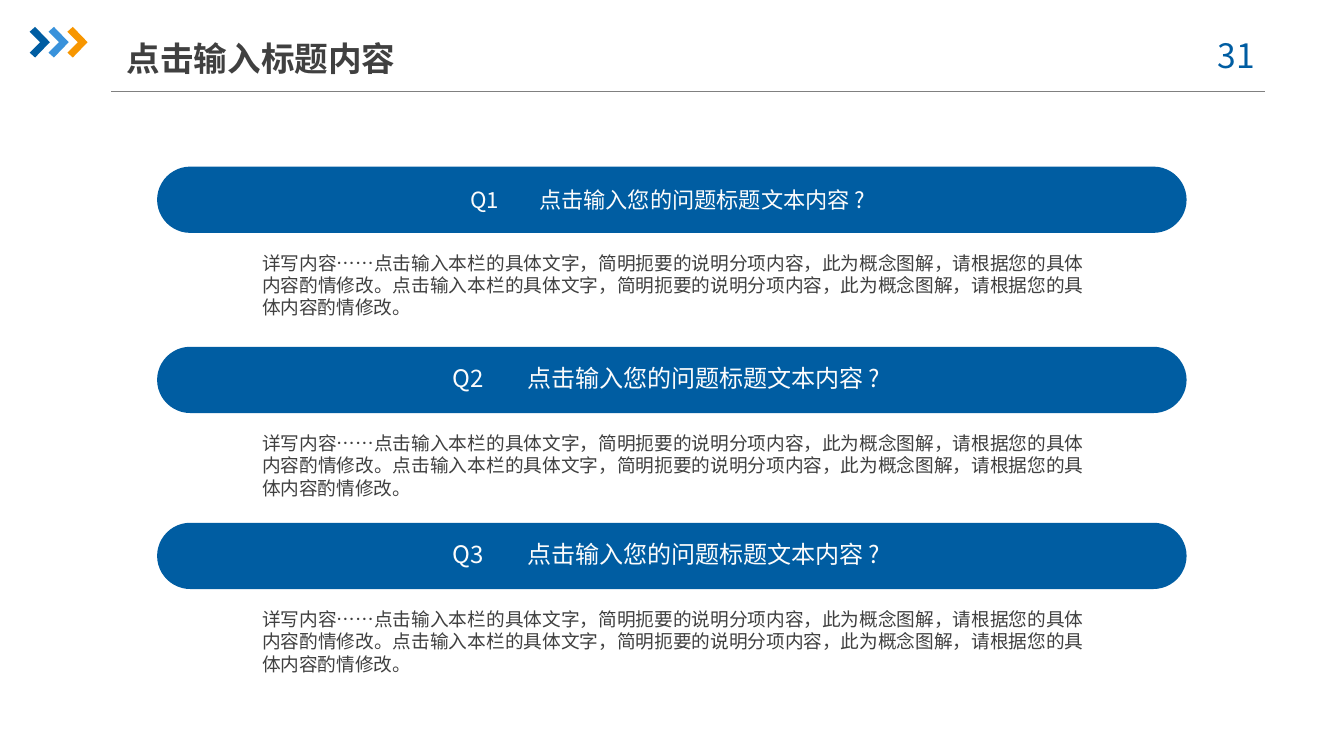
import pptx
import pptx.dml.color
import pptx.enum.shapes
import pptx.enum.text
import pptx.oxml
import pptx.oxml.ns
import pptx.util

Pt = pptx.util.Pt
ALIGN = pptx.enum.text.PP_ALIGN
ANCHOR = pptx.enum.text.MSO_ANCHOR

# Content
TITLE = "点击输入标题内容"
PAGE_NUMBER = "31 "
QUESTION = "点击输入您的问题标题文本内容 ?"
ADVICE = "点击输入本栏的具体文字，简明扼要的说明分项内容，此为概念图解，请根据您的具体内容酌情修改。"
ANSWER = "详写内容……" + ADVICE * 2
# label, bar top, heading size, heading indent, tab stop, line spacing
QUESTIONS = [
    ("Q1", 89.3, 11.9, 10.7, 37, 1.0),
    ("Q2", 185.8, 12.9, 1.3, 40.3, 0.9),
    ("Q3", 280.1, 12.9, 1.3, 40.3, 0.9),
]

THEME = {
    "font": "Noto Sans CJK SC",
    "blue": "005DA2", "sky": "3992DB", "orange": "F79600",
    "rule": "808080", "ink": "404040", "pale": "FCFCFC",
    "title": 18, "answer": 10,
}

# Layout
CHEVRON = [(0, 2.6), (2.9, 0), (10.8, 8.2), (2.9, 16.4), (0, 13.8), (5.6, 8.2)]
CHEVRON_LEFT, CHEVRON_TOP, CHEVRON_STEP = 15.9, 14.4, 10.1
BAR_LEFT, BAR_WIDTH, BAR_HEIGHT = 84.2, 551.5, 35.5
HEADING_LEFT, HEADING_WIDTH, HEADING_HEIGHT = 241.2, 238.3, 24.5
ANSWER_LEFT, ANSWER_WIDTH, ANSWER_HEIGHT, ANSWER_DROP = 140.4, 439.9, 43.9, 45.4


def color(name):
    return pptx.dml.color.RGBColor.from_string(THEME[name])


def paint(shape, name):
    shape.shadow.inherit = False
    shape.fill.solid()
    shape.fill.fore_color.rgb = color(name)
    shape.line.fill.background()


def add_text(slide, text, left, top, width, height, *, size, ink, bold=False,
             align=ALIGN.LEFT, anchor=ANCHOR.TOP, insets=(0, 0, 0, 0),
             spacing=1.0, tab=None):
    box = slide.shapes.add_textbox(Pt(left), Pt(top), Pt(width), Pt(height))
    frame = box.text_frame
    frame.word_wrap = True
    frame.vertical_anchor = anchor
    (frame.margin_left, frame.margin_top,
     frame.margin_right, frame.margin_bottom) = map(Pt, insets)
    paragraph = frame.paragraphs[0]
    paragraph.alignment = align
    paragraph.line_spacing = spacing
    if tab:
        properties = paragraph._p.get_or_add_pPr()
        stops = pptx.oxml.ns.qn("a:tabLst")
        stop_list = properties.makeelement(stops, {})
        properties.append(stop_list)
        stop_list.append(properties.makeelement(
            pptx.oxml.ns.qn("a:tab"), {"pos": str(int(Pt(tab))), "algn": "l"}))
    run = paragraph.add_run()
    run.text = text
    run.font.name = THEME["font"]
    run.font.size = Pt(size)
    run.font.bold = bold
    run.font.color.rgb = color(ink)
    run_properties = run._r.get_or_add_rPr()
    run_properties.append(run_properties.makeelement(
        pptx.oxml.ns.qn("a:ea"), {"typeface": THEME["font"]}))


def add_header(slide):
    # Rule under the title
    rule = slide.shapes.add_connector(
        pptx.enum.shapes.MSO_CONNECTOR.STRAIGHT, Pt(59.6), Pt(49.2), Pt(677.6), Pt(49.2))
    rule.line.color.rgb = color("rule")
    rule.line.width = Pt(0.75)
    rule._element.spPr.append(
        rule._element.makeelement(pptx.oxml.ns.qn("a:effectLst"), {}))

    # Three chevrons
    for index, fill in enumerate(("blue", "sky", "orange")):
        left = CHEVRON_LEFT + index * CHEVRON_STEP
        corners = [(Pt(left + x), Pt(CHEVRON_TOP + y)) for x, y in CHEVRON]
        outline = slide.shapes.build_freeform(*corners[0])
        outline.add_line_segments(corners[1:], close=True)
        paint(outline.convert_to_shape(), fill)

    # Page number and title
    add_text(slide, PAGE_NUMBER, 637.9, 18.7, 52.6, 28.8, size=THEME["title"],
             ink="blue", align=ALIGN.CENTER)
    add_text(slide, TITLE, 67.9, 15.8, 167.8, 30.2, size=THEME["title"], ink="ink",
             bold=True, anchor=ANCHOR.MIDDLE, insets=(0, 3.6, 0, 3.6))


def add_question(slide, label, top, size, indent, tab, spacing):
    bar = slide.shapes.add_shape(
        pptx.enum.shapes.MSO_SHAPE.ROUNDED_RECTANGLE,
        Pt(BAR_LEFT), Pt(top), Pt(BAR_WIDTH), Pt(BAR_HEIGHT))
    bar.adjustments[0] = 0.5
    paint(bar, "blue")
    add_text(slide, f"{label}\t{QUESTION}",
             HEADING_LEFT, top + (BAR_HEIGHT - HEADING_HEIGHT) / 2,
             HEADING_WIDTH, HEADING_HEIGHT, size=size, ink="pale",
             anchor=ANCHOR.MIDDLE, insets=(indent, 0, 0, 0), spacing=spacing, tab=tab)
    add_text(slide, ANSWER, ANSWER_LEFT, top + ANSWER_DROP, ANSWER_WIDTH, ANSWER_HEIGHT,
             size=THEME["answer"], ink="ink", align=ALIGN.JUSTIFY)


def main():
    deck = pptx.Presentation()
    deck.slide_width, deck.slide_height = Pt(720), Pt(405)
    slide = deck.slides.add_slide(deck.slide_layouts[6])
    add_header(slide)
    for question in QUESTIONS:
        add_question(slide, *question)
    deck.save("out.pptx")


if __name__ == "__main__":
    main()
